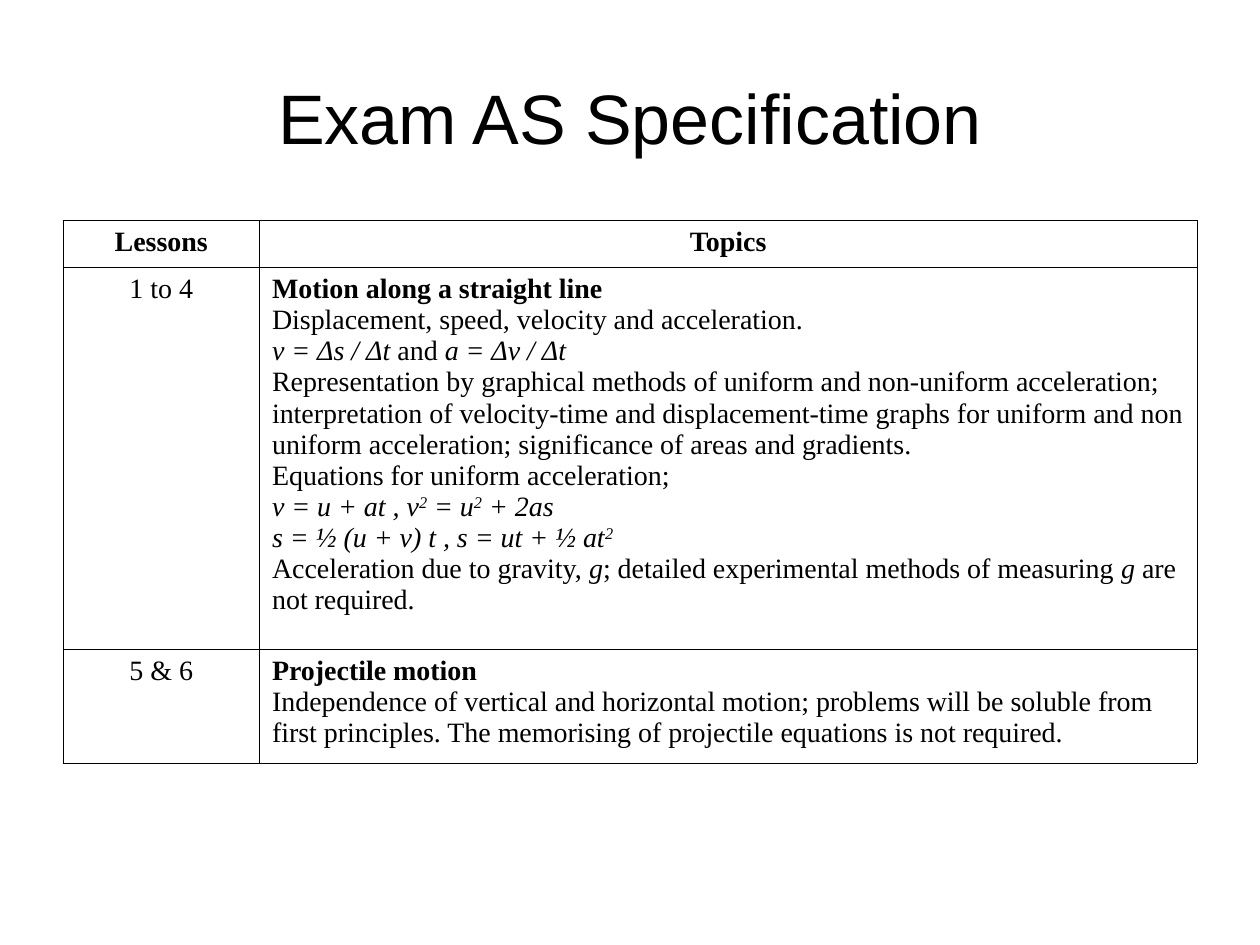
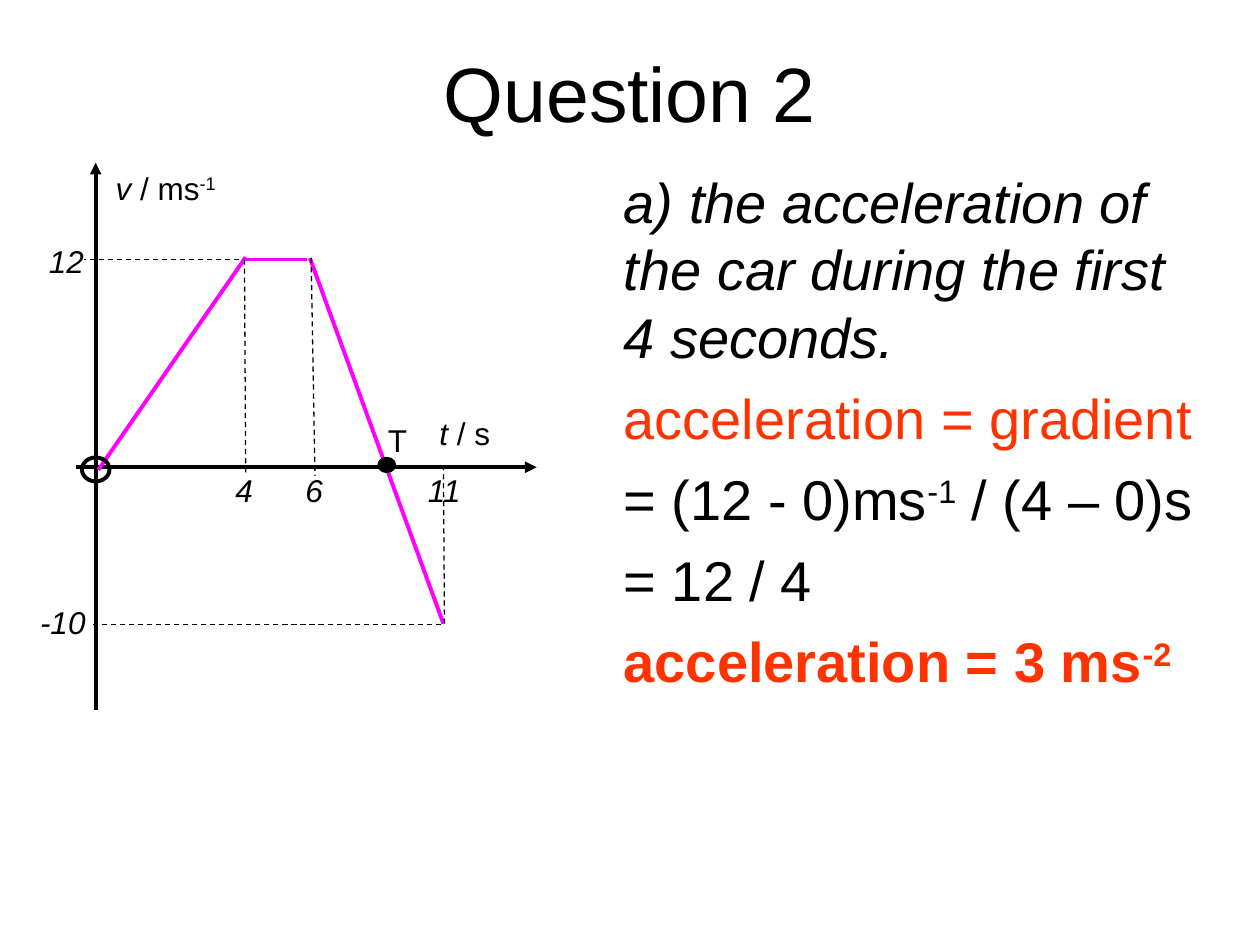
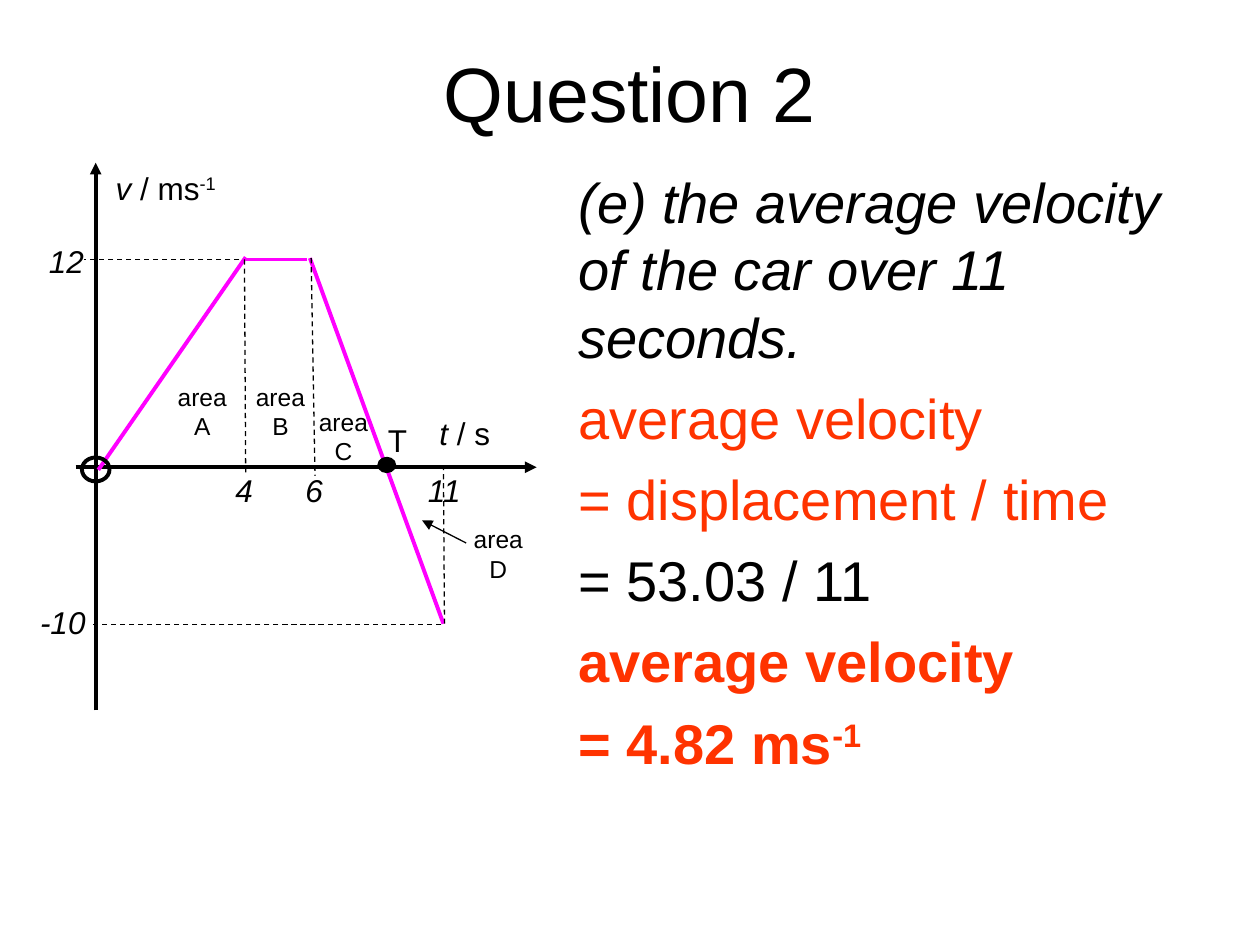
from lxml import etree
from pptx import Presentation
from pptx.dml.color import RGBColor
from pptx.enum.dml import MSO_LINE
from pptx.enum.shapes import MSO_CONNECTOR, MSO_SHAPE
from pptx.enum.text import MSO_ANCHOR, MSO_AUTO_SIZE, PP_ALIGN
from pptx.oxml.ns import qn
from pptx.util import Pt

LEFT, CENTER = PP_ALIGN.LEFT, PP_ALIGN.CENTER
MIDDLE = MSO_ANCHOR.MIDDLE
NO_AUTOFIT = MSO_AUTO_SIZE.NONE
STRAIGHT = MSO_CONNECTOR.STRAIGHT
OVAL = MSO_SHAPE.OVAL
DASH = MSO_LINE.DASH
TITLE_AND_BODY, TITLE_ONLY = 1, 5

COLORS = {"text": "000000", "answer": "FF3300", "curve": "FF00FF"}
SANS, SERIF = "Arial", "Times New Roman"
SANS_LEADING = 1.2
THICK, THIN, BORDER = 2.25, 0.75, 0.45

LESSON_ROWS = [
    ([[("Lessons", "b")]], [[("Topics", "b")]]),
    ([[("1 to 4", "")]], [
        [("Motion along a straight line", "b")],
        [("Displacement, speed, velocity and acceleration.", "")],
        [("v = Δs / Δt ", "i"), ("and ", ""), ("a = Δv / Δt", "i")],
        [("Representation by graphical methods of uniform and non-uniform acceleration; "
          "interpretation of velocity-time and displacement-time graphs for uniform and non "
          "uniform acceleration; significance of areas and gradients.", "")],
        [("Equations for uniform acceleration;", "")],
        [("v = u + at , v", "i"), ("2", "i^"), (" = u", "i"), ("2", "i^"), (" + 2as", "i")],
        [("s = ½ (u + v) t , s = ut + ½ at", "i"), ("2", "i^")],
        [("Acceleration due to gravity, ", ""), ("g", "i"),
         ("; detailed experimental methods of measuring ", ""), ("g ", "i"),
         ("are not required.", "")],
    ]),
    ([[("5 & 6", "")]], [
        [("Projectile motion", "b")],
        [("Independence of vertical and horizontal motion; problems will be soluble from "
          "first principles. The memorising of projectile equations is not required.", "")],
    ]),
]

ACCELERATION = [
    [("a) the acceleration of the car during the first 4 seconds.", "i")],
    [("acceleration = gradient", "r")],
    [("= (12 - 0)ms", ""), ("-1", "^"), (" / (4 – 0)s", "")],
    [("= 12 / 4", "")],
    [("acceleration = 3 ms", "rb"), ("-2", "rb^")],
]

AVERAGE_VELOCITY = [
    [("(e) the average velocity of the car over 11 seconds.", "i")],
    [("average velocity", "r")],
    [("= displacement / time", "r")],
    [("= 53.03 / 11", "")],
    [("average velocity", "rb")],
    [("= 4.82 ms", "rb"), ("-1", "rb^")],
]

AREAS = [("A", 94.3, 214.6), ("B", 139, 214.6), ("C", 175, 229), ("D", 263.5, 296)]


def color(name):
    return RGBColor.from_string(COLORS[name])


class Deck:
    def __init__(self):
        self.presentation = Presentation()
        self.presentation.slide_width = Pt(720)
        self.presentation.slide_height = Pt(540)
        self.slide = None
        self.shapes = None

    def new_slide(self, layout):
        self.slide = self.presentation.slides.add_slide(
            self.presentation.slide_layouts[layout])
        self.shapes = self.slide.shapes

    def start_group(self):
        self.shapes = self.slide.shapes.add_group_shape().shapes

    def add_text(self, frame, paragraphs, size, font=SANS, align=LEFT, gap=0):
        for index, runs in enumerate(paragraphs):
            paragraph = frame.add_paragraph() if index else frame.paragraphs[0]
            properties = paragraph._p.get_or_add_pPr()
            properties.set("marL", "0")
            properties.set("indent", "0")
            etree.SubElement(properties, qn("a:buNone"))
            paragraph.alignment = align
            paragraph.space_before = Pt(gap if index else 0)
            if font == SANS:
                paragraph.line_spacing = Pt(size * SANS_LEADING)
            for text, flags in runs:
                run = paragraph.add_run()
                run.text = text
                run.font.name = font
                run.font.size = Pt(size)
                run.font.bold = "b" in flags
                run.font.italic = "i" in flags
                run.font.color.rgb = color("answer" if "r" in flags else "text")
                if "^" in flags:
                    run._r.get_or_add_rPr().set("baseline", "30000")

    def place(self, shape, left, top, width, height):
        shape.left, shape.top = Pt(left), Pt(top)
        shape.width, shape.height = Pt(width), Pt(height)
        shape.text_frame.auto_size = NO_AUTOFIT

    def title(self, text, size, height):
        shape = self.slide.shapes.title
        self.place(shape, 36, 21.6, 648, height)
        shape.text_frame.vertical_anchor = MIDDLE
        self.add_text(shape.text_frame, [[(text, "")]], size, align=CENTER)

    def body(self, paragraphs, left, width):
        shape = self.slide.placeholders[1]
        self.place(shape, left, 92.2, width, 364.3)
        self.add_text(shape.text_frame, paragraphs, 32, gap=8)

    def label(self, paragraphs, left, top, width, height=28.8, size=18, align=LEFT):
        box = self.shapes.add_textbox(Pt(left), Pt(top), Pt(width), Pt(height))
        box.text_frame.word_wrap = False
        self.add_text(box.text_frame, paragraphs, size, align=align)

    def line(self, start, end, width, name="text", dashed=False, arrow=False):
        connector = self.shapes.add_connector(
            STRAIGHT, *(Pt(value) for value in (*start, *end)))
        connector.line.color.rgb = color(name)
        connector.line.width = Pt(width)
        if dashed:
            connector.line.dash_style = DASH
        properties = connector._element.spPr
        if arrow:
            outline = properties.find(qn("a:ln"))
            etree.SubElement(outline, qn("a:tailEnd"), type="triangle")
        etree.SubElement(properties, qn("a:effectLst"))

    def oval(self, left, top, width, height, line_width, filled=False):
        shape = self.shapes.add_shape(OVAL, Pt(left), Pt(top), Pt(width), Pt(height))
        shape.shadow.inherit = False
        shape.line.color.rgb = color("text")
        shape.line.width = Pt(line_width)
        if filled:
            shape.fill.solid()
            shape.fill.fore_color.rgb = color("text")
        else:
            shape.fill.background()

    def border(self, cell):
        properties = cell._tc.get_or_add_tcPr()
        for index, side in enumerate(("a:lnL", "a:lnR", "a:lnT", "a:lnB")):
            outline = etree.Element(qn(side), w=str(int(Pt(BORDER))))
            fill = etree.SubElement(outline, qn("a:solidFill"))
            etree.SubElement(fill, qn("a:srgbClr"), val=COLORS["text"])
            properties.insert(index, outline)

    def table(self, rows, left, top, widths, heights):
        table = self.shapes.add_table(
            len(rows), len(widths), Pt(left), Pt(top),
            Pt(sum(widths)), Pt(sum(heights))).table
        table.first_row = table.horz_banding = False
        for column, width in zip(table.columns, widths):
            column.width = Pt(width)
        for row, height in zip(table.rows, heights):
            row.height = Pt(height)
        for row_index, row in enumerate(rows):
            for column_index, paragraphs in enumerate(row):
                cell = table.cell(row_index, column_index)
                cell.fill.background()
                self.border(cell)
                centered = row_index == 0 or column_index == 0
                self.add_text(cell.text_frame, paragraphs, 16, SERIF,
                              CENTER if centered else LEFT)

    def velocity_graph(self):
        self.start_group()
        self.line((54.7, 406), (54.7, 93), THICK, arrow=True)
        self.line((43.2, 267), (306.7, 267), THICK, arrow=True)
        self.line((56.2, 268.5), (140.4, 147), THICK, "curve")
        self.line((140.4, 148.3), (175.7, 148.3), THICK, "curve")
        self.label([[("v", "i"), (" / ms", ""), ("-1", "^")]], 59, 93, 80)
        self.label([[("t", "i"), (" / s", "")]], 244, 233.3, 51.8)
        self.oval(46.8, 261.4, 15.8, 13.7, THICK)
        self.label([[("T", "")]], 214.6, 237.3, 26)
        self.line((253.4, 356.4), (177.1, 147.5), THICK, "curve")
        self.oval(216, 261.4, 10, 8.6, THIN, filled=True)
        for start, end in (
            ((136.8, 148.5), (48.2, 148.5)),
            ((252, 357), (51.8, 357)),
            ((139.7, 148.3), (140.4, 272)),
            ((177.8, 147.5), (180, 272)),
            ((254, 356.4), (253.4, 268)),
        ):
            self.line(start, end, THIN, dashed=True)
        for text, left, top, width in (
            ("12", 20.9, 134.6, 34.5), ("-10", 15.8, 341.3, 40.5),
            ("4", 127.4, 265.7, 24.5), ("6", 167.4, 265.7, 24.5),
            ("11", 237.4, 265.7, 34.5),
        ):
            self.label([[(text, "i")]], left, top, width)

    def area_labels(self):
        for name, left, top in AREAS:
            self.label([[("area", "")], [(name, "")]], left, top, 42.5, 41, 14, CENTER)
        self.line((266.4, 310.3), (241.2, 297.4), THIN, arrow=True)

    def question(self, paragraphs, left, width):
        self.new_slide(TITLE_AND_BODY)
        self.title("Question 2", 44, 62)
        self.body(paragraphs, left, width)
        self.velocity_graph()


def main():
    deck = Deck()
    deck.new_slide(TITLE_ONLY)
    deck.title("Exam AS Specification", 40, 90)
    deck.table(LESSON_ROWS, 36, 126, (112.3, 535.7), (26.8, 218.2, 65))

    deck.question(ACCELERATION, 349.2, 341.3)

    deck.question(AVERAGE_VELOCITY, 323.3, 368)
    deck.area_labels()

    deck.presentation.save("out.pptx")


if __name__ == "__main__":
    main()
